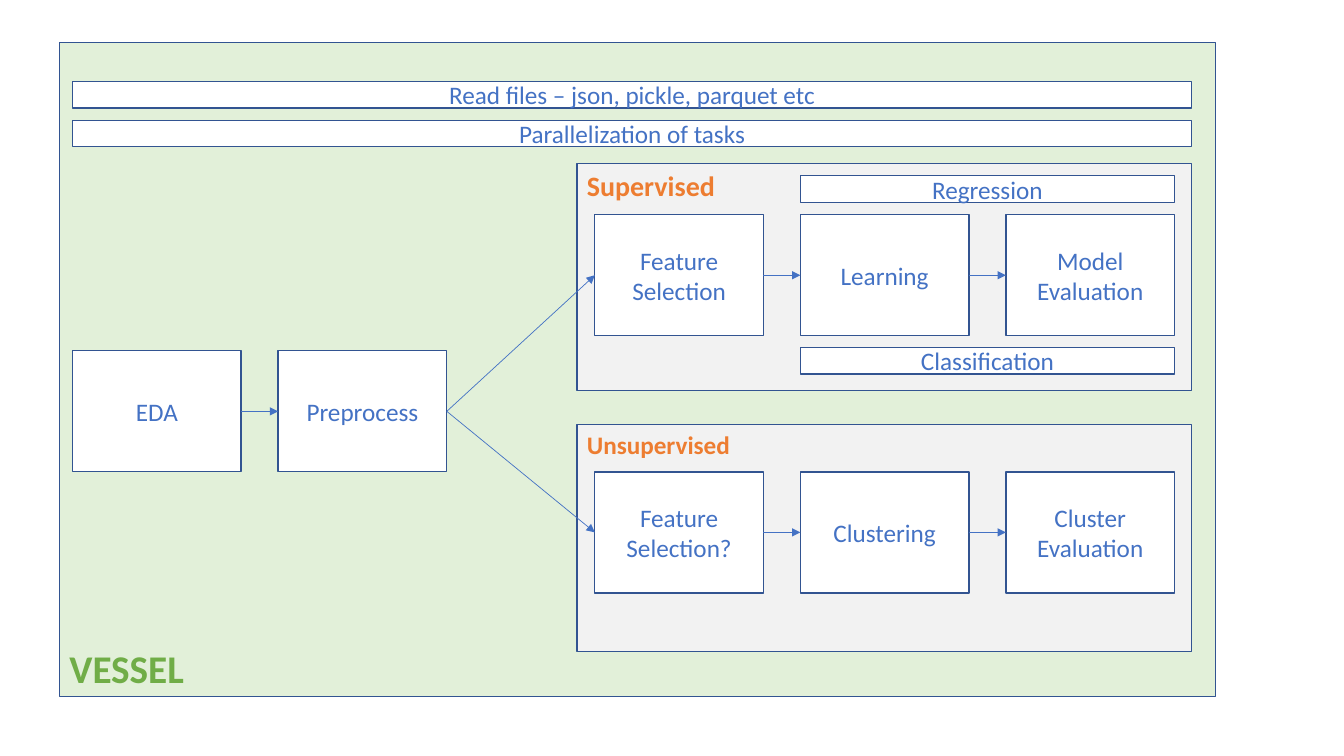
from pptx import Presentation
from pptx.dml.color import RGBColor
from pptx.enum.shapes import MSO_CONNECTOR, MSO_SHAPE
from pptx.enum.text import MSO_ANCHOR, PP_ALIGN
from pptx.oxml.ns import qn
from pptx.util import Cm, Pt
from lxml import etree

COLORS = {
    "container": "E2F0D9", "panel": "F2F2F2", "box": "FFFFFF",
    "outline": "325491", "blue": "4472C4", "orange": "ED7D31", "green": "70AD47",
}
LEFT, RIGHT_SIDE = 1.83, 14.99           # first column of each half
BOX_W, BOX_H, STEP = 4.25, 3.05, 5.18
RIGHT_SITE, LEFT_SITE = 3, 1             # connection sites of a rectangle

prs = Presentation()
prs.slide_width, prs.slide_height = Cm(33.87), Cm(19.05)
slide = prs.slides.add_slide(prs.slide_layouts[6])


def add_box(text, x, y, w=BOX_W, h=BOX_H, fill="box", color="blue", size=18,
            bold=False, align=PP_ALIGN.CENTER, anchor=MSO_ANCHOR.MIDDLE):
    box = slide.shapes.add_shape(MSO_SHAPE.RECTANGLE, Cm(x), Cm(y), Cm(w), Cm(h))
    box.shadow.inherit = False
    box.fill.solid()
    box.fill.fore_color.rgb = RGBColor.from_string(COLORS[fill])
    box.line.color.rgb = RGBColor.from_string(COLORS["outline"])
    box.line.width = Pt(1)
    frame = box.text_frame
    frame.word_wrap = True
    frame.vertical_anchor = anchor
    paragraph = frame.paragraphs[0]
    paragraph.alignment = align
    run = paragraph.add_run()
    run.text = text
    run.font.name, run.font.size, run.font.bold = "Calibri", Pt(size), bold
    run.font.color.rgb = RGBColor.from_string(COLORS[color])
    return box


def add_arrow(source, target):
    arrow = slide.shapes.add_connector(MSO_CONNECTOR.STRAIGHT, 0, 0, 0, 0)
    arrow.begin_connect(source, RIGHT_SITE)
    arrow.end_connect(target, LEFT_SITE)
    arrow.line.color.rgb = RGBColor.from_string(COLORS["blue"])
    arrow.line.width = Pt(0.5)
    etree.SubElement(arrow.line._get_or_add_ln(), qn("a:tailEnd"), type="triangle")
    etree.SubElement(arrow._element.spPr, qn("a:effectLst"))


# Container and the two panels
add_box("VESSEL", 1.5, 1.07, 29.13, 16.48, "container", "green", 28, True,
        PP_ALIGN.LEFT, MSO_ANCHOR.BOTTOM)
for title, y, size in [("Supervised", 4.12, 20), ("Unsupervised", 10.7, 18)]:
    add_box(title, 14.54, y, 15.49, 5.72, "panel", "orange", size, True,
            PP_ALIGN.LEFT, MSO_ANCHOR.TOP)

# Bars
for text, x, y, w in [
    ("Read files – json, pickle, parquet etc", LEFT, 2.05, 28.2),
    ("Parallelization of tasks", LEFT, 3.03, 28.2),
    ("Regression", RIGHT_SIDE + STEP, 4.43, STEP + BOX_W),
    ("Classification", RIGHT_SIDE + STEP, 8.76, STEP + BOX_W),
]:
    add_box(text, x, y, w, 0.67)

# Rows of steps, joined from left to right
rows = []
for x, y, names in [
    (LEFT, 8.84, ["EDA", "Preprocess"]),
    (RIGHT_SIDE, 5.41, ["Feature Selection", "Learning", "Model Evaluation"]),
    (RIGHT_SIDE, 11.89, ["Feature Selection?", "Clustering", "Cluster Evaluation"]),
]:
    row = [add_box(name, x + i * STEP, y) for i, name in enumerate(names)]
    for source, target in zip(row, row[1:]):
        add_arrow(source, target)
    rows.append(row)

# Preprocess branches into both panels
preparation, supervised, unsupervised = rows
for branch in (supervised, unsupervised):
    add_arrow(preparation[-1], branch[0])

prs.save("out.pptx")
